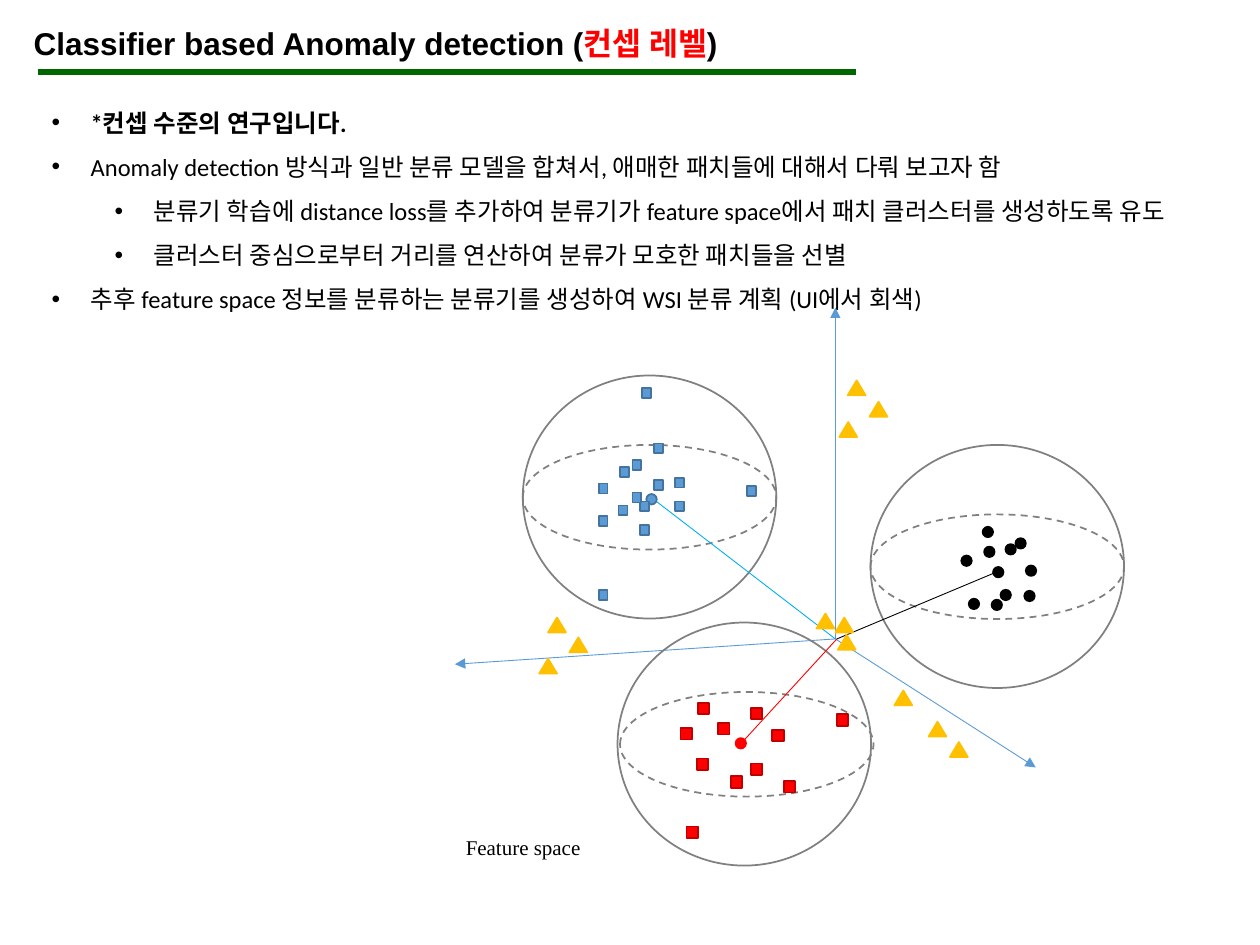
"""Build the slide on classifier based anomaly detection."""
from typing import NamedTuple

from lxml import etree
from pptx import Presentation, util as u
from pptx.dml.color import RGBColor
from pptx.enum import dml, shapes, text
from pptx.oxml import ns

Spot = tuple[float, float]
Kind = shapes.MSO_SHAPE


class Mark(NamedTuple):
    kind: Kind
    wide: float
    high: float
    fill: str
    edge: str


class Group(NamedTuple):
    mark: Mark
    spots: list[Spot]


class Ball(NamedTuple):
    left: float
    top: float
    shift: float = 0


class Line(NamedTuple):
    start: Spot
    end: Spot
    color: str
    width: float = 0.5
    arrow: bool = False


class Run(NamedTuple):
    words: str
    color: str = "000000"
    bold: bool = False


class Item(NamedTuple):
    level: int
    run: Run


BLUE, GRAY, RED, BLACK, GOLD = "5B9BD5", "808080", "FF0000", "000000", "FFC000"
DOT = Mark(Kind.OVAL, 0.21, 0.21, BLACK, BLACK)
BLUE_DOT = DOT._replace(fill=BLUE, edge="43739E")
RED_DOT = DOT._replace(fill=RED, edge=RED)
BLUE_BOX = Mark(Kind.RECTANGLE, 0.18, 0.2, BLUE, "43739E")
RED_BOX = Mark(Kind.RECTANGLE, 0.23, 0.23, RED, "C00000")
PEAK = Mark(Kind.ISOSCELES_TRIANGLE, 0.36, 0.3, GOLD, GOLD)

ORIGIN = (16.84, 12.88)
RULE = Line((0.76, 1.45), (17.25, 1.45), "006600", 3)
AXES = [Line(ORIGIN, tip, BLUE, arrow=True)
        for tip in [(16.84, 6.2), (20.88, 15.47), (9.17, 13.39)]]
RAYS = [
    Line((13.13, 10.03), ORIGIN, "00B0F0"),
    Line((15.01, 14.91), (16.87, 12.88), RED),
    Line((20.14, 11.51), (16.87, 12.88), BLACK),
]
BALLS = [Ball(10.54, 7.57), Ball(17.55, 8.97), Ball(12.45, 12.55, 0.05)]
GROUPS = [
    Group(BLUE_DOT, [(13.03, 9.96)]),
    Group(RED_DOT, [(14.83, 14.88)]),
    Group(RED_BOX, [
        (14.07, 14.17), (14.05, 15.29), (14.48, 14.58), (15.14, 14.27),
        (15.14, 15.39), (15.57, 14.71), (14.73, 15.65), (15.8, 15.75),
        (13.72, 14.68), (13.84, 16.66), (16.87, 14.4)]),
    Group(BLUE_BOX, [
        (12.5, 9.42), (12.9, 10.11), (12.07, 10.41), (12.07, 9.75),
        (12.47, 10.19), (12.9, 10.59), (13.18, 8.94), (13.61, 9.63),
        (12.75, 9.93), (12.75, 9.27), (13.18, 9.68), (13.61, 10.11),
        (12.07, 11.89), (12.95, 7.82), (15.06, 9.8)]),
    Group(DOT, [
        (20.02, 11.43), (19.81, 10.62), (19.38, 11.2), (20.27, 10.97),
        (20.68, 11.4), (19.53, 12.07), (20.17, 11.89), (19.99, 12.09),
        (20.65, 11.91), (19.84, 11.02), (20.47, 10.85)]),
    Group(PEAK, [
        (18.72, 14.55), (19.15, 14.96), (16.84, 12.45), (16.89, 12.8),
        (16.46, 12.37), (18.03, 13.92), (11.05, 12.45), (11.48, 12.85),
        (10.87, 13.28), (17.09, 7.67), (17.53, 8.1), (16.92, 8.51)]),
]
TITLE = [
    Run("Classifier based Anomaly detection (", bold=True),
    Run("컨셉 레벨", RED, True),
    Run(")", bold=True),
]
ITEMS = [
    Item(0, Run("*컨셉 수준의 연구입니다.", bold=True)),
    Item(0, Run("Anomaly detection 방식과 일반 분류 모델을 합쳐서, "
                "애매한 패치들에 대해서 다뤄 보고자 함")),
    Item(1, Run("분류기 학습에 distance loss를 추가하여 분류기가 "
                "feature space에서 패치 클러스터를 생성하도록 유도")),
    Item(1, Run("클러스터 중심으로부터 거리를 연산하여 분류가 모호한 패치들을 선별")),
    Item(0, Run("추후 feature space 정보를 분류하는 분류기를 생성하여 "
                "WSI 분류 계획 (UI에서 회색)")),
]


def tint(code: str) -> RGBColor:
    return RGBColor.from_string(code)


def add_line(slide, line: Line) -> None:
    ends = [u.Cm(value) for value in (*line.start, *line.end)]
    link = slide.shapes.add_connector(shapes.MSO_CONNECTOR.STRAIGHT, *ends)
    link.line.color.rgb = tint(line.color)
    link.line.width = u.Pt(line.width)
    props = link._element.spPr
    if line.arrow:
        stroke = props.find(ns.qn("a:ln"))
        etree.SubElement(stroke, ns.qn("a:tailEnd"), type="triangle")
    etree.SubElement(props, ns.qn("a:effectLst"))


def add_mark(slide, mark: Mark, spot: Spot):
    area = [u.Cm(value) for value in (*spot, mark.wide, mark.high)]
    shape = slide.shapes.add_shape(mark.kind, *area)
    shape.shadow.inherit = False
    if mark.fill:
        shape.fill.solid()
        shape.fill.fore_color.rgb = tint(mark.fill)
    else:
        shape.fill.background()
    shape.line.color.rgb = tint(mark.edge)
    shape.line.width = u.Pt(1)
    return shape


def add_ball(slide, ball: Ball) -> None:
    add_mark(slide, Mark(Kind.OVAL, 5.11, 4.9, "", GRAY), (ball.left, ball.top))
    belt = add_mark(slide, Mark(Kind.OVAL, 5.11, 2.11, "", GRAY),
                    (ball.left + ball.shift, ball.top + 1.4))
    belt.line.dash_style = dml.MSO_LINE.DASH


def add_box(slide, area: tuple[float, ...], wrap: bool = True):
    box = slide.shapes.add_textbox(*[u.Cm(value) for value in area])
    frame = box.text_frame
    frame.word_wrap = wrap
    frame.auto_size = text.MSO_AUTO_SIZE.SHAPE_TO_FIT_TEXT
    return frame


def add_run(para, run: Run, face: str, size: float) -> None:
    part = para.add_run()
    part.text = run.words
    font = part.font
    font.name, font.size, font.bold = face, u.Pt(size), run.bold
    font.color.rgb = tint(run.color)


def add_item(para, item: Item) -> None:
    para.level = item.level
    para.line_spacing = 1.5
    props = para._p.get_or_add_pPr()
    props.set("marL", str(u.Cm(0.79 + 1.27 * item.level)))
    props.set("indent", str(-u.Cm(0.79)))
    etree.SubElement(props, ns.qn("a:buFont"), typeface="Arial")
    etree.SubElement(props, ns.qn("a:buChar"), char="•")
    add_run(para, item.run, "Calibri", 14)


def main() -> None:
    deck = Presentation()
    deck.slide_width, deck.slide_height = u.Cm(25.4), u.Cm(19.05)
    slide = deck.slides.add_slide(deck.slide_layouts[6])
    title = add_box(slide, (0.43, 0.36, 15.21, 1.02)).paragraphs[0]
    for run in TITLE:
        add_run(title, run, "Arial", 18)
    add_line(slide, RULE)
    body = add_box(slide, (0.79, 1.75, 24.43, 4.75))
    for index, item in enumerate(ITEMS):
        add_item(body.add_paragraph() if index else body.paragraphs[0], item)
    for axis in AXES:
        add_line(slide, axis)
    for ball in BALLS:
        add_ball(slide, ball)
    for ray in RAYS:
        add_line(slide, ray)
    label = add_box(slide, (9.14, 16.69, 2.9, 0.76), False).paragraphs[0]
    add_run(label, Run("Feature space"), "Times New Roman", 12)
    for group in GROUPS:
        for spot in group.spots:
            add_mark(slide, group.mark, spot)
    deck.save("out.pptx")


if __name__ == "__main__":
    main()
